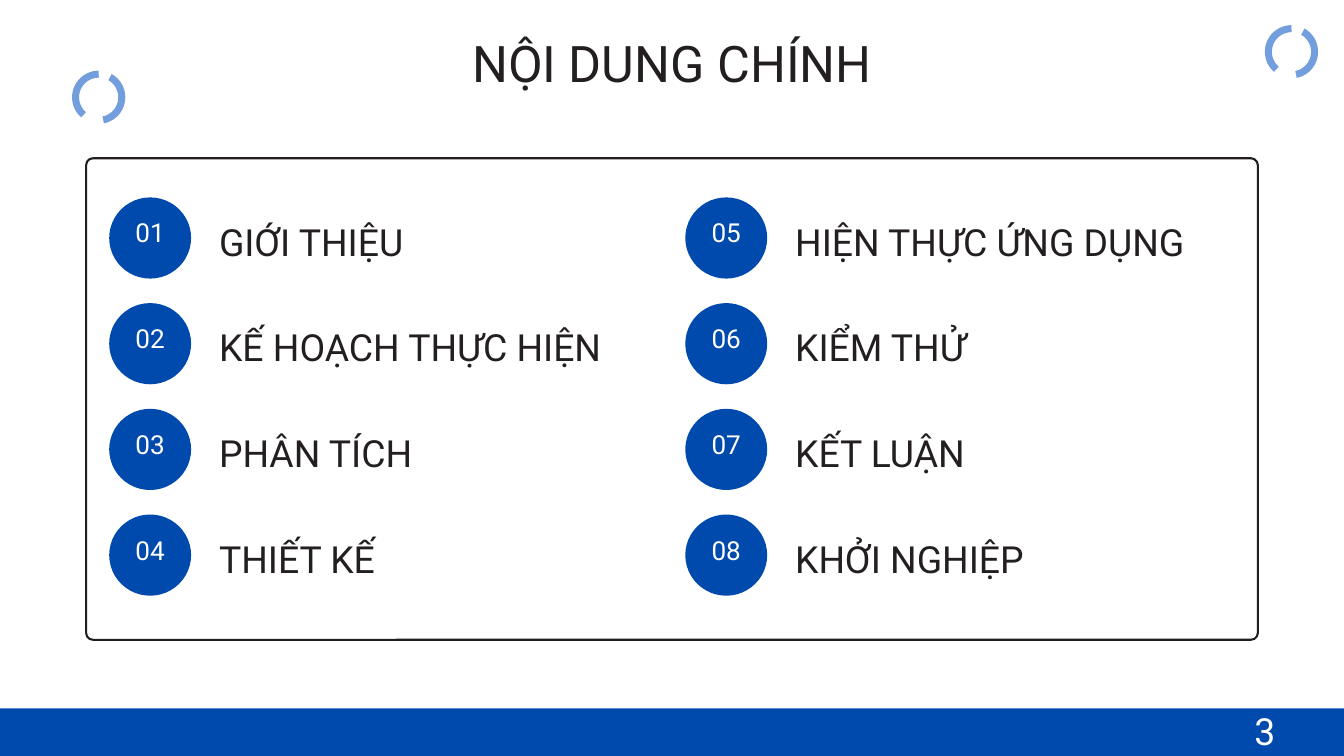
import math
from dataclasses import dataclass

from pptx import Presentation
from pptx.dml.color import RGBColor
from pptx.enum.dml import MSO_LINE
from pptx.enum.shapes import MSO_SHAPE
from pptx.enum.text import MSO_ANCHOR, PP_ALIGN
from pptx.util import Pt

ELLIPSE, RECTANGLE = MSO_SHAPE.OVAL, MSO_SHAPE.RECTANGLE
ROUNDED = MSO_SHAPE.ROUNDED_RECTANGLE
LEFT, CENTER = PP_ALIGN.LEFT, PP_ALIGN.CENTER
TOP, MIDDLE = MSO_ANCHOR.TOP, MSO_ANCHOR.MIDDLE
LONG_DASH = MSO_LINE.LONG_DASH

TITLE = "NỘI DUNG CHÍNH"
COLUMNS = [
    ["GIỚI THIỆU", "KẾ HOẠCH THỰC HIỆN", "PHÂN TÍCH", "THIẾT KẾ"],
    ["HIỆN THỰC ỨNG DỤNG", "KIỂM THỬ", "KẾT LUẬN", "KHỞI NGHIỆP"],
]
PAGE_NUMBER = "3"


@dataclass(frozen=True)
class Theme:
    font: str = "Roboto"
    ink: RGBColor = RGBColor(0x23, 0x1F, 0x20)
    blue: RGBColor = RGBColor(0x00, 0x4A, 0xAD)
    sky: RGBColor = RGBColor(0x72, 0x9E, 0xDD)
    white: RGBColor = RGBColor(0xFF, 0xFF, 0xFF)
    # (size, line spacing) in points
    title: tuple = (54, 75.6)
    topic: tuple = (40, 56)
    badge: tuple = (28, 39.2)
    page: tuple = (40, 42)


THEME = Theme()

EMU_PER_PX = 9525
SLIDE_W, SLIDE_H = 1920, 1080
FRAME = (123, 226, 1674, 688)
FRAME_RADIUS = 10
BADGE_X, BADGE_Y, BADGE_W, BADGE_H = 156, 282, 117, 116
BADGE_LIFT = 23  # bottom inset that raises the number above the centre
COLUMN_STEP, ROW_STEP = 823, 151
TOPIC_DX, TOPIC_DY, TOPIC_W, TOPIC_H = 157, 20, 660, 70
RING_CENTERS = [(1845, 74), (141, 139)]
RING_RADIUS, RING_POINTS = 33, 72
FOOTER_Y = 1012


def px(*lengths):
    return [round(length * EMU_PER_PX) for length in lengths]


def write(shape, text, style, color, align=LEFT, anchor=TOP, bottom=0):
    size, spacing = style
    frame = shape.text_frame
    frame.word_wrap = True
    frame.vertical_anchor = anchor
    frame.margin_left = frame.margin_top = frame.margin_right = 0
    frame.margin_bottom = px(bottom)[0]
    paragraph = frame.paragraphs[0]
    paragraph.text = text
    paragraph.alignment = align
    paragraph.line_spacing = Pt(spacing)
    paragraph.font.name = THEME.font
    paragraph.font.size = Pt(size)
    paragraph.font.color.rgb = color


def add_text(slide, box, text, style, color, align=LEFT):
    write(slide.shapes.add_textbox(*px(*box)), text, style, color, align)


def add_filled(slide, kind, box, fill):
    shape = slide.shapes.add_shape(kind, *px(*box))
    shape.shadow.inherit = False
    shape.fill.solid()
    shape.fill.fore_color.rgb = fill
    shape.line.fill.background()
    return shape


def add_frame(slide):
    frame = add_filled(slide, ROUNDED, FRAME, THEME.white)
    frame.adjustments[0] = FRAME_RADIUS / FRAME[3]
    frame.line.color.rgb = THEME.ink
    frame.line.width = Pt(2.25)


def add_ring(slide, center_x, center_y):
    """Draw anticlockwise from the top, so the dashes fall in a fixed place."""
    angles = [2 * math.pi * i / RING_POINTS for i in range(RING_POINTS)]
    points = [px(center_x - RING_RADIUS * math.sin(a),
                 center_y - RING_RADIUS * math.cos(a)) for a in angles]
    builder = slide.shapes.build_freeform(*points[0])
    builder.add_line_segments(points[1:], close=True)
    ring = builder.convert_to_shape()
    ring.shadow.inherit = False
    ring.fill.background()
    ring.line.color.rgb = THEME.sky
    ring.line.width = Pt(7.5)
    ring.line.dash_style = LONG_DASH


def add_topic(slide, column, row, number, topic):
    x = BADGE_X + column * COLUMN_STEP
    y = BADGE_Y + row * ROW_STEP
    badge = add_filled(slide, ELLIPSE, (x, y, BADGE_W, BADGE_H), THEME.blue)
    write(badge, f"{number:02d}", THEME.badge, THEME.white, CENTER, MIDDLE, BADGE_LIFT)
    add_text(slide, (x + TOPIC_DX, y + TOPIC_DY, TOPIC_W, TOPIC_H),
             topic, THEME.topic, THEME.ink)


def main():
    deck = Presentation()
    deck.slide_width, deck.slide_height = px(SLIDE_W, SLIDE_H)
    slide = deck.slides.add_slide(deck.slide_layouts[6])

    add_frame(slide)
    for center in RING_CENTERS:
        add_ring(slide, *center)
    add_filled(slide, RECTANGLE,
               (0, FOOTER_Y, SLIDE_W, SLIDE_H - FOOTER_Y), THEME.blue)
    add_text(slide, (152, 31, 1616, 97), TITLE, THEME.title, THEME.ink, CENTER)
    for column, topics in enumerate(COLUMNS):
        for row, topic in enumerate(topics):
            add_topic(slide, column, row, column * len(topics) + row + 1, topic)
    add_text(slide, (1792, 1020, 64, 58), PAGE_NUMBER, THEME.page, THEME.white)

    deck.save("out.pptx")


if __name__ == "__main__":
    main()
